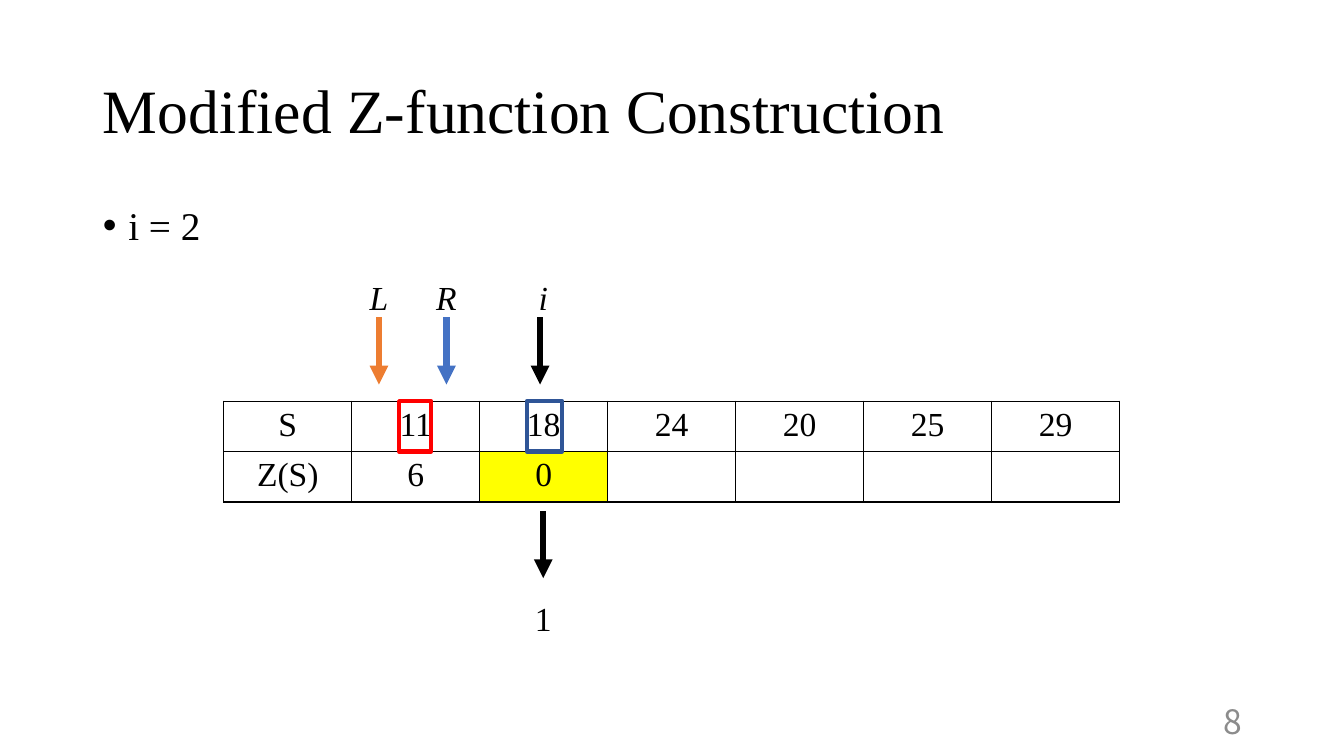
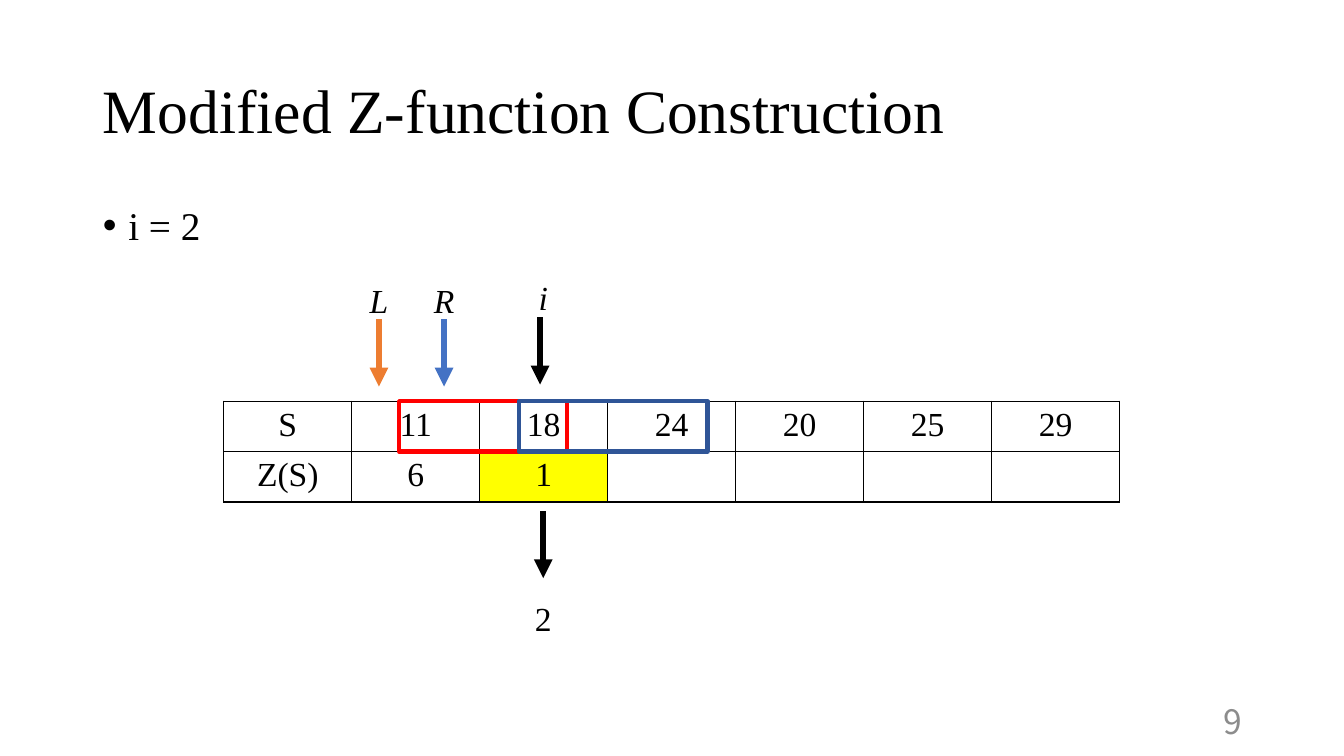
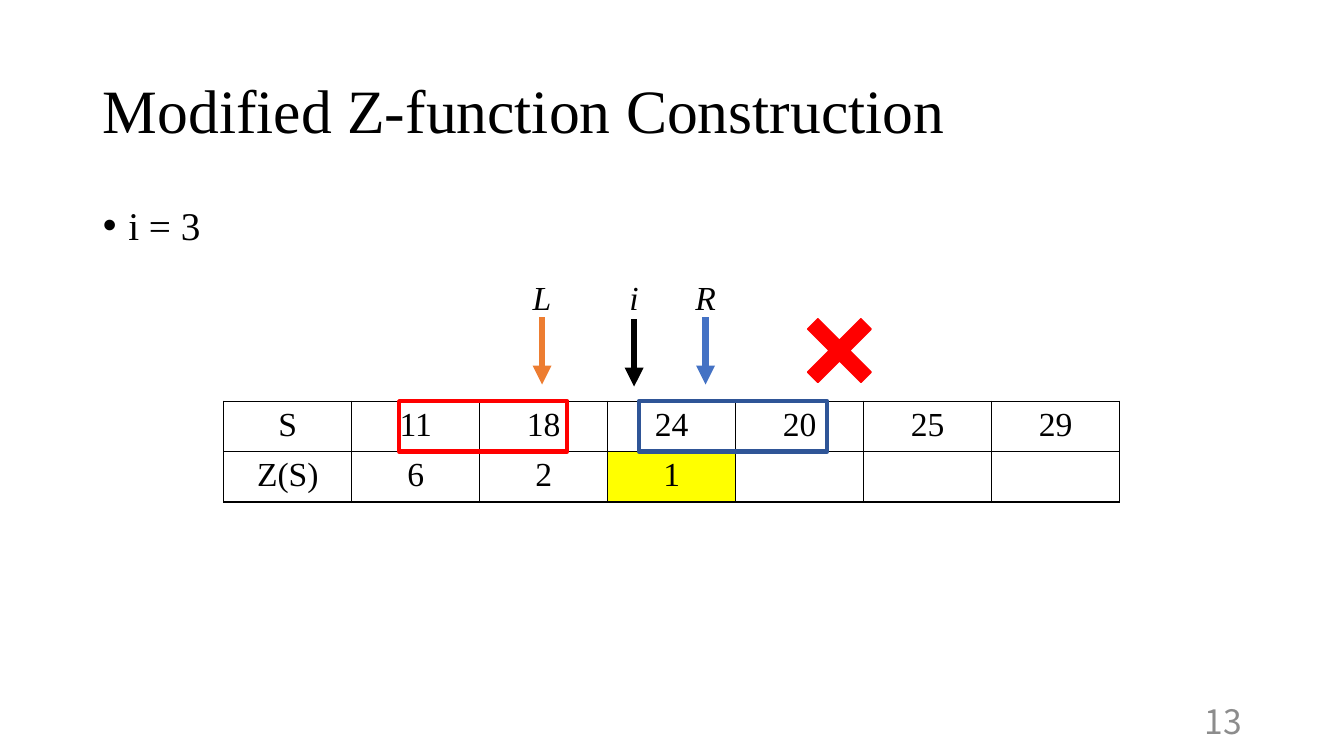
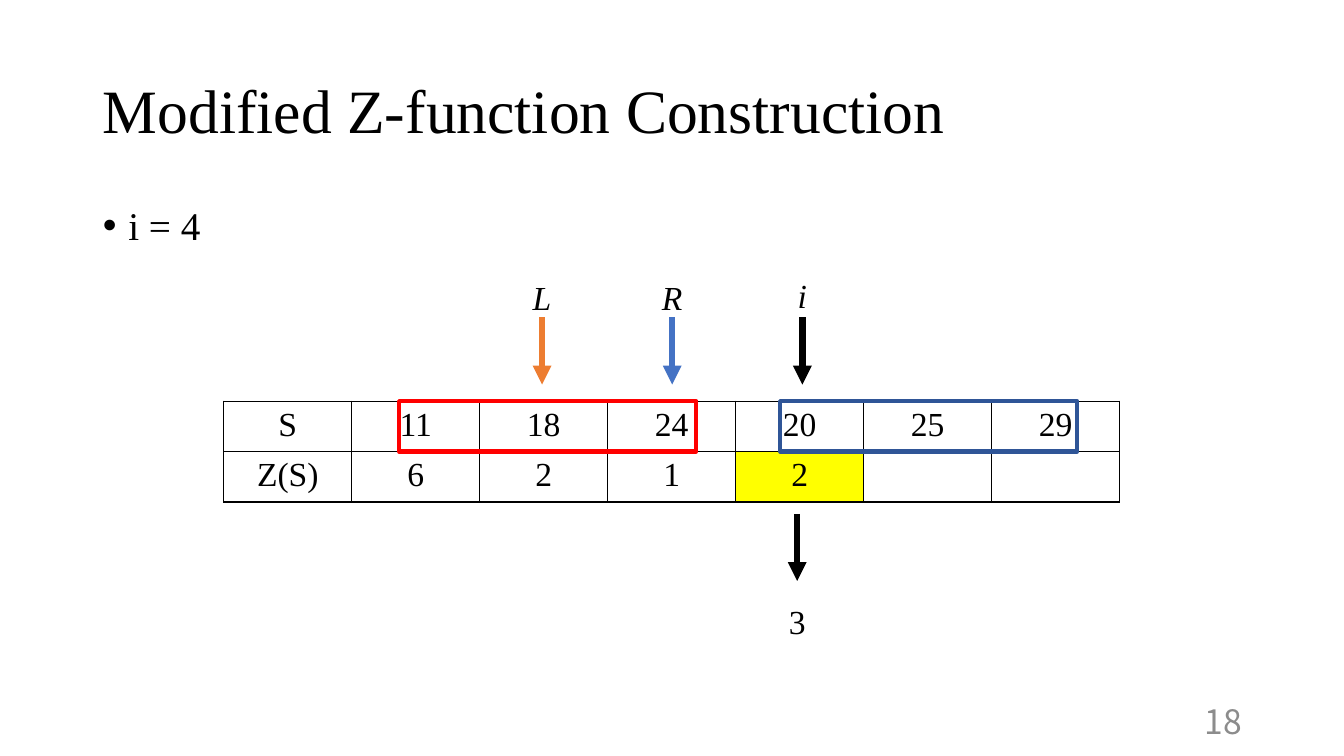
from lxml.etree import SubElement
from pptx import Presentation
from pptx.dml.color import RGBColor
from pptx.enum.shapes import MSO_CONNECTOR, MSO_SHAPE
from pptx.enum.text import MSO_ANCHOR, MSO_AUTO_SIZE, PP_ALIGN
from pptx.oxml.ns import qn
from pptx.util import Cm, Pt


def color(code):
    return RGBColor.from_string(code)


class Deck:
    serif = "Times New Roman"
    sans = "Noto Sans CJK JP"
    black = "000000"
    gray = "8C8C8C"
    red = "FF0000"
    navy = "2F5597"
    orange = "ED7D31"
    blue = "4472C4"
    yellow = "FFFF00"
    terms = ["11", "18", "24", "20", "25", "29"]
    left, top, row, wide = 5.64, 10.11, 1.2, 22.58

    def __init__(self):
        self.show = Presentation()
        self.show.slide_width = Cm(33.87)
        self.show.slide_height = Cm(19.05)

    def style(self, para, text, size=24, align=PP_ALIGN.CENTER, face=None, hue=None, slant=False):
        para.text = text
        para.alignment = align
        font = para.font
        font.name = face or self.serif
        font.size = Pt(size)
        font.italic = slant
        font.color.rgb = color(hue or self.black)

    def place(self, holder, box, text, size, anchor):
        holder.left, holder.top, holder.width, holder.height = map(Cm, box)
        frame = holder.text_frame
        frame.auto_size = MSO_AUTO_SIZE.NONE
        frame.vertical_anchor = anchor
        para = frame.paragraphs[0]
        para.line_spacing = 0.9
        para.space_before = Pt(0)
        self.style(para, text, size, PP_ALIGN.LEFT)
        return para

    def start(self, page, scores):
        self.slide = self.show.slides.add_slide(self.show.slide_layouts[1])
        title, body = self.slide.placeholders
        self.place(title, (2.34, 1.02, 29.21, 3.68), "Modified Z-function Construction", 44, MSO_ANCHOR.MIDDLE)
        item = self.place(body, (2.34, 5.08, 29.21, 12.09), f"i = {len(scores)}", 28, MSO_ANCHOR.TOP)
        props = item._p.get_or_add_pPr()
        props.set("marL", str(Cm(0.64)))
        props.set("indent", str(-Cm(0.64)))
        self.label(str(page), (23.93, 17.65, 7.62, 1.02), MSO_ANCHOR.MIDDLE,
                   align=PP_ALIGN.RIGHT, face=self.sans, hue=self.gray)
        self.table(scores)

    def label(self, text, box, anchor=MSO_ANCHOR.TOP, **looks):
        frame = self.slide.shapes.add_textbox(*map(Cm, box)).text_frame
        frame.word_wrap = True
        frame.vertical_anchor = anchor
        self.style(frame.paragraphs[0], text, **looks)

    def border(self, cell):
        props = cell._tc.get_or_add_tcPr()
        for side in ("a:lnL", "a:lnR", "a:lnT", "a:lnB"):
            line = SubElement(props, qn(side), w=str(Pt(1)))
            fill = SubElement(line, qn("a:solidFill"))
            SubElement(fill, qn("a:srgbClr"), val=self.black)

    def table(self, scores):
        rows = [["S"] + self.terms, ["Z(S)"] + scores]
        count = len(rows[0])
        grid = self.slide.shapes.add_table(
            2, count, Cm(self.left), Cm(self.top), Cm(self.wide), Cm(2 * self.row)).table
        for r, texts in enumerate(rows):
            for c in range(count):
                cell = grid.cell(r, c)
                self.border(cell)
                if r == 1 and c == len(scores):
                    cell.fill.solid()
                    cell.fill.fore_color.rgb = color(self.yellow)
                else:
                    cell.fill.background()
                text = texts[c] if c < len(texts) else ""
                self.style(cell.text_frame.paragraphs[0], text)

    def arrow(self, x, y, hue):
        link = self.slide.shapes.add_connector(
            MSO_CONNECTOR.STRAIGHT, Cm(x), Cm(y), Cm(x), Cm(y + 1.69))
        link.line.color.rgb = color(hue)
        link.line.width = Pt(4.5)
        props = link._element.spPr
        SubElement(props.find(qn("a:ln")), qn("a:tailEnd"), type="triangle")
        SubElement(props, qn("a:effectLst"))

    def mark(self, name, x, hue, y=8.0, text_y=6.86, shift=0):
        self.arrow(x, y, hue)
        self.label(name, (x + shift - 0.61, text_y, 1.22, 1.27), slant=True)

    def result(self, text, x, y=12.88):
        self.arrow(x, y, self.black)
        self.label(text, (x - 0.61, y + 2.06, 1.22, 1.27))

    def shape(self, kind, box, hue, width):
        form = self.slide.shapes.add_shape(kind, *map(Cm, box))
        form.shadow.inherit = False
        form.line.color.rgb = color(hue)
        form.line.width = Pt(width)
        return form

    def frame(self, x, width, hue):
        self.shape(MSO_SHAPE.RECTANGLE, (x, self.top, width, 1.27), hue, 3).fill.background()

    def cross(self, x, y, size):
        form = self.shape(MSO_SHAPE.MATH_MULTIPLY, (x, y, size, size), self.red, 1)
        form.adjustments[0] = 0.142
        form.fill.solid()
        form.fill.fore_color.rgb = color(self.red)


def main():
    deck = Deck()

    deck.start(8, ["6", "0"])
    deck.mark("L", 9.55, deck.orange)
    deck.mark("R", 11.25, deck.blue)
    deck.result("1", 13.69)
    deck.frame(10.06, 0.81, deck.red)
    deck.frame(13.28, 0.89, deck.navy)
    deck.mark("i", 13.61, deck.black, shift=0.08)

    deck.start(9, ["6", "1"])
    deck.mark("L", 9.55, deck.orange, 8.05, 6.92)
    deck.mark("R", 11.19, deck.blue, 8.05, 6.92)
    deck.result("2", 13.69)
    deck.frame(10.06, 4.24, deck.red)
    deck.frame(13.08, 4.75, deck.navy)
    deck.mark("i", 13.61, deck.black, shift=0.08)

    deck.start(13, ["6", "2", "1"])
    deck.mark("L", 13.66, deck.orange)
    deck.frame(10.06, 4.24, deck.red)
    deck.frame(16.1, 4.75, deck.navy)
    deck.cross(19.86, 7.54, 2.59)
    deck.mark("R", 17.78, deck.blue)
    deck.mark("i", 15.98, deck.black, 8.05)

    deck.start(18, ["6", "2", "1", "2"])
    deck.mark("L", 13.66, deck.orange)
    deck.mark("R", 16.94, deck.blue)
    deck.frame(10.06, 7.49, deck.red)
    deck.frame(19.66, 7.49, deck.navy)
    deck.result("3", 20.09, 12.95)
    deck.mark("i", 20.22, deck.black, text_y=6.8)

    deck.show.save("out.pptx")


if __name__ == "__main__":
    main()
